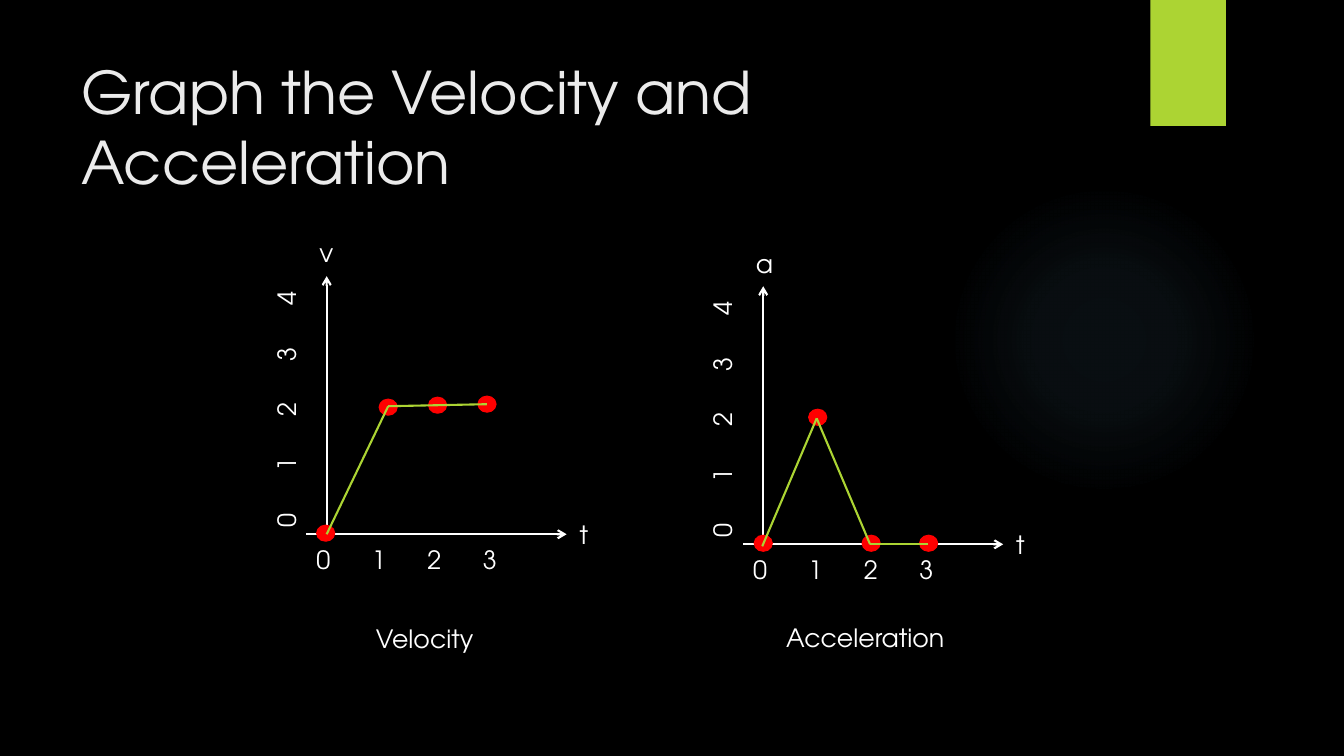
from dataclasses import dataclass
from itertools import pairwise

from lxml import etree
from pptx import Presentation
from pptx.dml.color import RGBColor
from pptx.enum.shapes import MSO_CONNECTOR, MSO_SHAPE
from pptx.enum.text import MSO_ANCHOR, MSO_AUTO_SIZE, PP_ALIGN
from pptx.oxml import parse_xml
from pptx.oxml.ns import nsdecls, qn
from pptx.shapes.autoshape import Shape
from pptx.shapes.connector import Connector
from pptx.slide import Slide
from pptx.text.text import TextFrame
from pptx.util import Emu, Pt

STRAIGHT = MSO_CONNECTOR.STRAIGHT
OVAL, RECTANGLE = MSO_SHAPE.OVAL, MSO_SHAPE.RECTANGLE
LEFT, TOP = PP_ALIGN.LEFT, MSO_ANCHOR.TOP
NO_AUTOFIT = MSO_AUTO_SIZE.NONE
TITLE_ONLY = 5

PX = 9144  # 100 px to the inch
TICK_STEP = 55
LABEL_HEIGHT = 40
DOT_WIDTH, DOT_HEIGHT = 18, 16

Point = tuple[int, int]


@dataclass(frozen=True)
class Theme:
    font: str = "TeX Gyre Adventor"
    background: str = "000000"
    title: str = "EBEBEB"
    text: str = "FFFFFF"
    accent: str = "ACD433"
    dot: str = "FF0000"
    glow: str = "7AC4F0"
    title_size: int = 42
    label_size: int = 18
    line_width: float = 1.5
    dot_outline: float = 0.75


@dataclass(frozen=True)
class Box:
    left: int
    top: int
    width: int
    height: int = LABEL_HEIGHT

    def emu(self) -> list[Emu]:
        return [Emu(side * PX) for side in
                (self.left, self.top, self.width, self.height)]


@dataclass(frozen=True)
class Graph:
    """Dots and curve are measured from the origin of the axes."""
    origin: Point
    symbol: str
    symbol_width: int
    caption: str
    caption_box: Box
    dots: list[Point]
    curve: list[Point]


THEME = Theme()

GRAPHS = [
    Graph((324, 530), "v", 34, "Velocity", Box(363, 613, 119),
          dots=[(-1, -1), (61, -126), (110, -128), (159, -129)],
          curve=[(0, 0), (61, -127), (159, -129)]),
    Graph((757, 540), "a", 37, "Acceleration", Box(770, 612, 180),
          dots=[(0, -1), (54, -126), (107, -1), (164, -1)],
          curve=[(-1, 2), (53, -125), (106, 0), (163, 0)]),
]


def format_text(frame: TextFrame, size: int, color: str) -> None:
    for paragraph in frame.paragraphs:
        paragraph.alignment = LEFT
        for span in paragraph.runs:
            span.font.name = THEME.font
            span.font.size = Pt(size)
            span.font.color.rgb = RGBColor.from_string(color)


def add_label(page: Slide, box: Box, text: str, wrap: bool = False) -> Shape:
    label = page.shapes.add_textbox(*box.emu())
    label.text_frame.word_wrap = wrap
    label.text_frame.text = text
    format_text(label.text_frame, THEME.label_size, THEME.text)
    return label


def add_ticks(page: Slide, box: Box, last: int, rotation: int = 0) -> None:
    """Number an axis from 0 to last at equal tab stops."""
    text = "\t".join(str(number) for number in range(last + 1))
    label = add_label(page, box, text, wrap=True)
    label.rotation = rotation
    properties = label.text_frame.paragraphs[0]._p.get_or_add_pPr()
    stops = etree.SubElement(properties, qn("a:tabLst"))
    for number in range(1, last + 1):
        etree.SubElement(stops, qn("a:tab"),
                         pos=str(number * TICK_STEP * PX), algn="l")


def add_line(page: Slide, start: Point, end: Point, color: str) -> Connector:
    ends = [Emu(value * PX) for value in (*start, *end)]
    line = page.shapes.add_connector(STRAIGHT, *ends)
    line.line.color.rgb = RGBColor.from_string(color)
    line.line.width = Pt(THEME.line_width)
    etree.SubElement(line.element.spPr, qn("a:effectLst"))
    return line


def add_axis(page: Slide, start: Point, end: Point) -> None:
    axis = add_line(page, start, end, THEME.text)
    outline = axis.element.spPr.find(qn("a:ln"))
    etree.SubElement(outline, qn("a:tailEnd"), type="arrow")


def add_solid(page: Slide, kind: MSO_SHAPE, box: Box, color: str) -> Shape:
    shape = page.shapes.add_shape(kind, *box.emu())
    shape.shadow.inherit = False
    shape.fill.solid()
    shape.fill.fore_color.rgb = RGBColor.from_string(color)
    shape.line.fill.background()
    return shape


def add_dot(page: Slide, center: Point) -> None:
    x, y = center
    box = Box(x - DOT_WIDTH // 2, y - DOT_HEIGHT // 2, DOT_WIDTH, DOT_HEIGHT)
    dot = add_solid(page, OVAL, box, THEME.dot)
    dot.line.color.rgb = RGBColor.from_string(THEME.dot)
    dot.line.width = Pt(THEME.dot_outline)


def add_glow(page: Slide) -> None:
    glow = add_solid(page, OVAL, Box(941, 183, 308, 308), THEME.glow)
    stops = "".join(
        f'<a:gs pos="{position * 1000}"><a:srgbClr val="{THEME.glow}">'
        f'<a:alpha val="{alpha * 1000}"/></a:srgbClr></a:gs>'
        for position, alpha in ((0, 7), (36, 6), (69, 0)))
    gradient = parse_xml(
        f'<a:gradFill {nsdecls("a")} rotWithShape="1"><a:gsLst>{stops}</a:gsLst>'
        '<a:path path="circle"><a:fillToRect l="50000" t="50000" r="50000"'
        ' b="50000"/></a:path></a:gradFill>')
    properties = glow.element.spPr
    properties.replace(properties.find(qn("a:solidFill")), gradient)


def add_title(page: Slide, text: str) -> None:
    title = page.shapes.title
    title.left, title.top, title.width, title.height = Box(71, 50, 1029, 153).emu()
    frame = title.text_frame
    frame.text = text
    frame.word_wrap = True
    frame.auto_size = NO_AUTOFIT
    frame.vertical_anchor = TOP
    format_text(frame, THEME.title_size, THEME.title)


def add_graph(page: Slide, graph: Graph) -> None:
    x, y = graph.origin
    add_axis(page, (x, y + 5), (x, y - 256))
    add_axis(page, (x - 20, y), (x + 238, y))
    add_ticks(page, Box(x - 20, y + 5, 252), last=3)
    add_ticks(page, Box(x - 173, y - 150, 266), last=4, rotation=270)
    add_label(page, graph.caption_box, graph.caption)
    add_label(page, Box(x - 17, y - 299, graph.symbol_width), graph.symbol)
    add_label(page, Box(x + 241, y - 20, 29), "t")
    for across, down in graph.dots:
        add_dot(page, (x + across, y + down))
    vertices = [(x + across, y + down) for across, down in graph.curve]
    for start, end in pairwise(vertices):
        add_line(page, start, end, THEME.accent)


def main() -> None:
    deck = Presentation()
    deck.slide_width, deck.slide_height = Emu(1333 * PX), Emu(750 * PX)
    page = deck.slides.add_slide(deck.slide_layouts[TITLE_ONLY])
    page.background.fill.solid()
    page.background.fill.fore_color.rgb = RGBColor.from_string(THEME.background)
    add_glow(page)
    add_solid(page, RECTANGLE, Box(1141, 0, 75, 125), THEME.accent)
    add_title(page, "Graph the Velocity and Acceleration")
    for graph in GRAPHS:
        add_graph(page, graph)
    deck.save("out.pptx")


if __name__ == "__main__":
    main()
